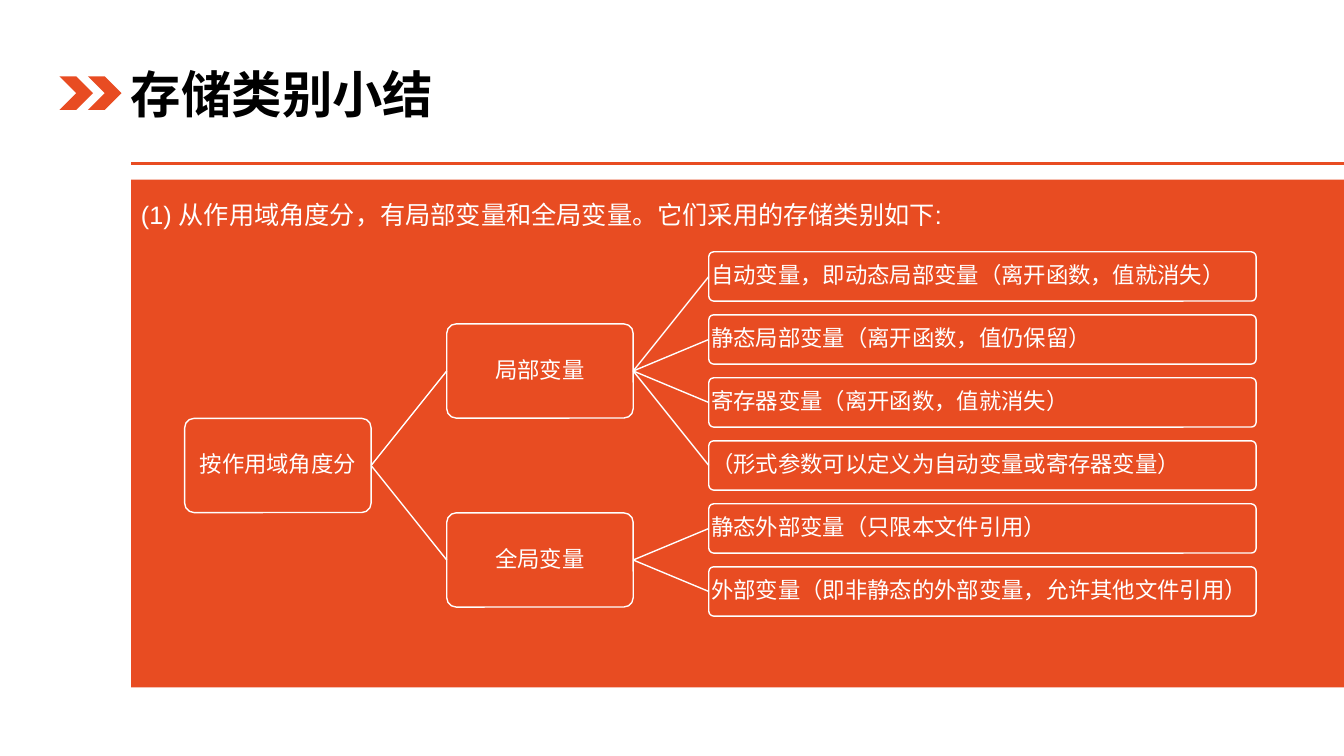
"""Build the storage class summary slide with its variable scope tree."""
from lxml import etree
from pptx import Presentation
from pptx import util as u
from pptx.dml.color import RGBColor
from pptx.enum import shapes, text
from pptx.oxml import ns

TITLE = "存储类别小结"
INTRO = "(1) 从作用域角度分，有局部变量和全局变量。它们采用的存储类别如下:"
ROOT = "按作用域角度分"
BRANCHES = [
    ("局部变量", [
        "自动变量，即动态局部变量（离开函数，值就消失）",
        "静态局部变量（离开函数，值仍保留）",
        "寄存器变量（离开函数，值就消失）",
        "（形式参数可以定义为自动变量或寄存器变量）",
    ]),
    ("全局变量", [
        "静态外部变量（只限本文件引用）",
        "外部变量（即非静态的外部变量，允许其他文件引用）",
    ]),
]
THEME = {
    "accent": RGBColor(0xE8, 0x4C, 0x22),
    "white": RGBColor(255, 255, 255),
    "black": RGBColor(0, 0, 0),
    "latin": "Arial",
    "cjk": "Noto Sans CJK SC",
    "title": 36, "intro": 18, "node": 16,
    "rule": 2.25, "line": 1,
}
SLIDE_W, SLIDE_H = 960, 540
MARGIN_X = 93.6
NODE_W, NODE_H = 133.2, 67.3
LEAF_W, LEAF_H = 391, 35.2
ROOT_X, BRANCH_X, LEAF_X = 131.9, 319.1, 506.3
LEAF_Y, LEAF_STEP = 197.5, 45

prs = Presentation()
prs.slide_width, prs.slide_height = u.Pt(SLIDE_W), u.Pt(SLIDE_H)
s = prs.slides.add_slide(prs.slide_layouts[6])


def write(sp, content, size, color, font, align, spacing=1.0, bold=False):
    tf = sp.text_frame
    tf.word_wrap = True
    p = tf.paragraphs[0]
    p.alignment, p.line_spacing = align, spacing
    r = p.add_run()
    r.text = content
    r.font.size, r.font.bold, r.font.name = u.Pt(size), bold, font
    r.font.color.rgb = color
    ea = etree.SubElement(r.font._element, ns.qn("a:ea"))
    ea.set("typeface", THEME["cjk"])
    return tf


def shape(kind, x, y, w, h):
    sp = s.shapes.add_shape(kind, u.Pt(x), u.Pt(y), u.Pt(w), u.Pt(h))
    sp.shadow.inherit = False
    sp.fill.solid()
    sp.fill.fore_color.rgb = THEME["accent"]
    sp.line.fill.background()
    return sp


def line(x1, y1, x2, y2, color, width):
    c = s.shapes.add_connector(shapes.MSO_CONNECTOR.STRAIGHT,
                               u.Pt(x1), u.Pt(y1), u.Pt(x2), u.Pt(y2))
    c.line.color.rgb, c.line.width = color, u.Pt(width)
    etree.SubElement(c._element.spPr, ns.qn("a:effectLst"))
    return c


def node(content, x, mid_y, w, h, align):
    sp = shape(shapes.MSO_SHAPE.ROUNDED_RECTANGLE, x, mid_y - h / 2, w, h)
    sp.adjustments[0] = 0.1
    sp.line.color.rgb, sp.line.width = THEME["white"], u.Pt(THEME["line"])
    tf = write(sp, content, THEME["node"], THEME["white"], THEME["cjk"], align, 0.9)
    tf.vertical_anchor = text.MSO_ANCHOR.MIDDLE
    tf.margin_left = tf.margin_right = tf.margin_top = tf.margin_bottom = u.Pt(0.8)
    return sp


def link(parent, child):
    c = line(0, 0, 0, 0, THEME["white"], THEME["line"])
    c.begin_connect(parent, 3)
    c.end_connect(child, 1)


def mean(values):
    return sum(values) / len(values)


LEFT, CENTER = text.PP_ALIGN.LEFT, text.PP_ALIGN.CENTER

line(MARGIN_X, 116.6, SLIDE_W, 116.6, THEME["accent"], THEME["rule"])
panel = shape(shapes.MSO_SHAPE.RECTANGLE, MARGIN_X, 128.3, SLIDE_W - MARGIN_X, 362.7)
tf = write(panel, INTRO, THEME["intro"], THEME["white"], THEME["latin"], LEFT, 1.5)
tf.vertical_anchor = text.MSO_ANCHOR.TOP

title = s.shapes.add_textbox(u.Pt(86.4), u.Pt(38.2), u.Pt(427.7), u.Pt(56.9))
tf = write(title, TITLE, THEME["title"], THEME["black"], THEME["cjk"], LEFT, bold=True)
tf.vertical_anchor = text.MSO_ANCHOR.MIDDLE
for x in (42.5, 62.8):
    shape(shapes.MSO_SHAPE.CHEVRON, x, 54.5, 24, 24)

rows = []
for _, leaves in BRANCHES:
    start = LEAF_Y + LEAF_STEP * sum(map(len, rows))
    rows.append([start + LEAF_STEP * i for i in range(len(leaves))])
root = node(ROOT, ROOT_X, mean([mean(ys) for ys in rows]), NODE_W, NODE_H, CENTER)
for (name, leaves), ys in zip(BRANCHES, rows):
    branch = node(name, BRANCH_X, mean(ys), NODE_W, NODE_H, CENTER)
    link(root, branch)
    for content, y in zip(leaves, ys):
        link(branch, node(content, LEAF_X, y, LEAF_W, LEAF_H, LEFT))

prs.save("out.pptx")
